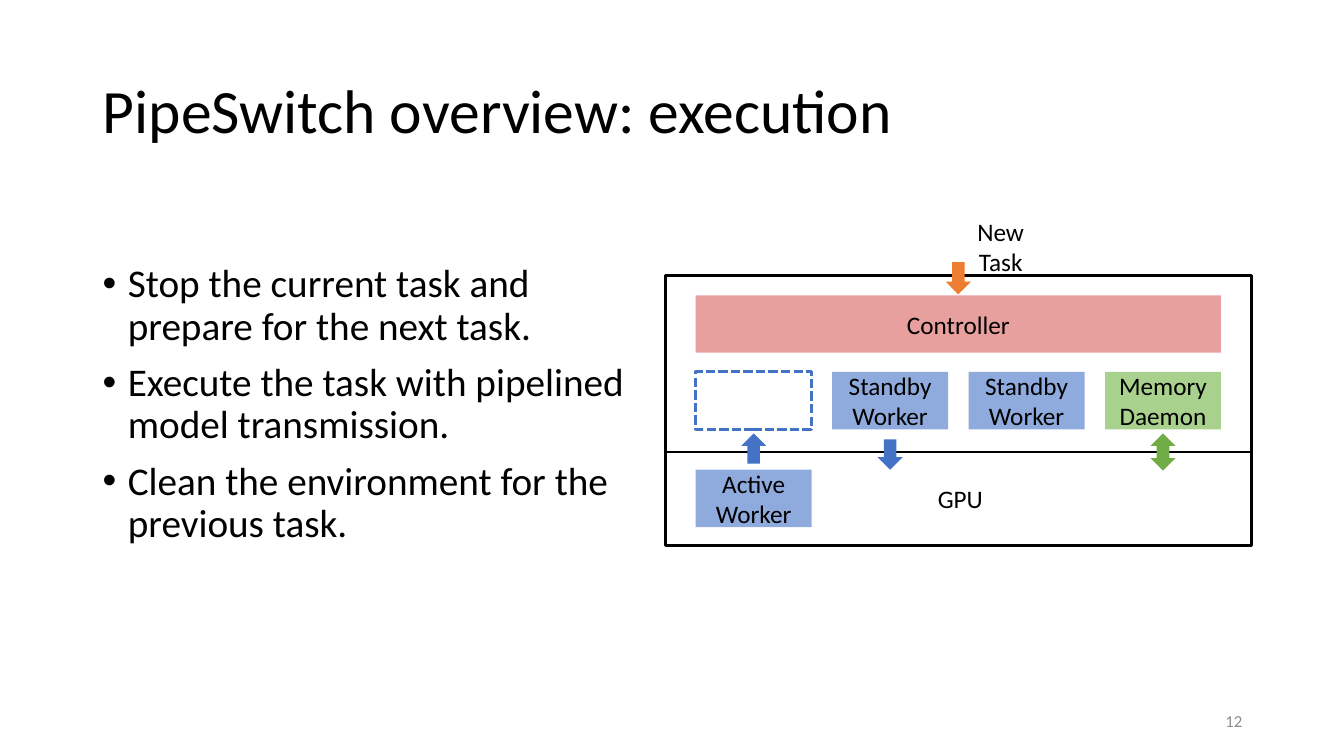
from lxml import etree
from pptx import Presentation
from pptx.dml.color import RGBColor
from pptx.enum.dml import MSO_LINE
from pptx.enum.shapes import MSO_CONNECTOR, MSO_SHAPE
from pptx.enum.text import MSO_ANCHOR, MSO_AUTO_SIZE, PP_ALIGN
from pptx.oxml.ns import qn
from pptx.util import Inches, Pt

RECTANGLE = MSO_SHAPE.RECTANGLE
UP, DOWN, UP_DOWN = MSO_SHAPE.UP_ARROW, MSO_SHAPE.DOWN_ARROW, MSO_SHAPE.UP_DOWN_ARROW
STRAIGHT = MSO_CONNECTOR.STRAIGHT
LEFT, CENTER, RIGHT = PP_ALIGN.LEFT, PP_ALIGN.CENTER, PP_ALIGN.RIGHT
TOP, MIDDLE = MSO_ANCHOR.TOP, MSO_ANCHOR.MIDDLE

FONT = "Calibri"
COLORS = {
    "text": "000000", "number": "8C8C8C", "controller": "E8A09F",
    "worker": "8FAADC", "worker_arrow": "4472C4", "task_arrow": "ED7D31",
    "memory": "A9D18E", "memory_arrow": "70AD47",
}

# Diagram grid, in inches
FRAME_LEFT, FRAME_TOP, FRAME_WIDTH, FRAME_HEIGHT = 6.6, 2.73, 5.81, 2.68
GRID_LEFT, GRID_WIDTH, COLUMNS = 6.9, 5.21, 4
BOX_WIDTH, BOX_HEIGHT, ARROW_WIDTH = 1.15, 0.57, 0.25
PITCH = (GRID_WIDTH - BOX_WIDTH) / (COLUMNS - 1)
ROWS = {"controller": 2.93, "workers": 3.69, "divider": 4.48, "gpu": 4.66}
GRID_CENTER = GRID_LEFT + GRID_WIDTH / 2


def color(name):
    return RGBColor.from_string(COLORS[name])


def column_left(column):
    return GRID_LEFT + column * PITCH


def column_center(column):
    return column_left(column) + BOX_WIDTH / 2


def write(shape, text, size=18, align=CENTER, anchor=MIDDLE, name="text", wrap=True):
    frame = shape.text_frame
    frame.text = text
    frame.word_wrap = wrap
    frame.auto_size = MSO_AUTO_SIZE.NONE
    frame.vertical_anchor = anchor
    for paragraph in frame.paragraphs:
        paragraph.alignment = align
        for run in paragraph.runs:
            run.font.size = Pt(size)
            run.font.name = FONT
            run.font.color.rgb = color(name)


def add_label(slide, text, left, top, width, height, **style):
    box = slide.shapes.add_textbox(*map(Inches, (left, top, width, height)))
    write(box, text, **style)
    return box


def add_block(slide, left, top, width, height, fill=None, line=None,
              text="", kind=RECTANGLE):
    shape = slide.shapes.add_shape(kind, *map(Inches, (left, top, width, height)))
    shape.shadow.inherit = False
    if fill:
        shape.fill.solid()
        shape.fill.fore_color.rgb = color(fill)
    else:
        shape.fill.background()
    if line:
        shape.line.color.rgb = color(line)
        shape.line.width = Pt(2.25)
    else:
        shape.line.fill.background()
    if text:
        write(shape, text)
    return shape


def add_arrow(slide, kind, center, top, height, fill):
    add_block(slide, center - ARROW_WIDTH / 2, top, ARROW_WIDTH, height, fill, kind=kind)


def add_divider(slide, left, right, y):
    divider = slide.shapes.add_connector(STRAIGHT, *map(Inches, (left, y, right, y)))
    divider.line.color.rgb = color("text")
    divider.line.width = Pt(1.5)
    etree.SubElement(divider._element.spPr, qn("a:effectLst"))


def add_title(slide, text):
    title = slide.shapes.title
    title.left, title.top, title.width, title.height = map(Inches, (0.92, 0.4, 11.5, 1.45))
    write(title, text, size=44, align=LEFT)
    title.text_frame.paragraphs[0].line_spacing = 0.9


def add_bullets(slide, items):
    box = add_label(slide, "\n".join(items), 0.92, 2.57, 5.67, 4.19,
                    size=28, align=LEFT, anchor=TOP)
    for index, paragraph in enumerate(box.text_frame.paragraphs):
        properties = paragraph._p.get_or_add_pPr()
        properties.set("marL", str(Inches(0.25)))
        properties.set("indent", str(-Inches(0.25)))
        etree.SubElement(properties, qn("a:buFont")).set("typeface", "Arial")
        etree.SubElement(properties, qn("a:buChar")).set("char", "•")
        paragraph.line_spacing = 0.9
        paragraph.space_before = Pt(10 if index else 0)


def add_diagram(slide):
    # Server frame, controller and GPU area
    add_block(slide, FRAME_LEFT, FRAME_TOP, FRAME_WIDTH, FRAME_HEIGHT, line="text")
    add_block(slide, GRID_LEFT, ROWS["controller"], GRID_WIDTH, BOX_HEIGHT,
              "controller", text="Controller")
    add_divider(slide, FRAME_LEFT, FRAME_LEFT + FRAME_WIDTH, ROWS["divider"])
    add_label(slide, "GPU", 9.2, 4.74, 0.65, 0.4, wrap=False)

    # Workers and memory daemon
    for column, row, fill, text in (
        (0, "gpu", "worker", "Active\nWorker"),
        (1, "workers", "worker", "Standby\nWorker"),
        (2, "workers", "worker", "Standby\nWorker"),
        (3, "workers", "memory", "Memory\nDaemon"),
    ):
        add_block(slide, column_left(column), ROWS[row], BOX_WIDTH, BOX_HEIGHT, fill, text=text)
    vacant = add_block(slide, column_left(0), ROWS["workers"], BOX_WIDTH, BOX_HEIGHT,
                       line="worker_arrow")
    vacant.line.dash_style = MSO_LINE.SQUARE_DOT

    # Movement between the rows
    add_arrow(slide, UP, column_center(0), 4.3, 0.3, "worker_arrow")
    add_arrow(slide, DOWN, column_center(1), 4.36, 0.3, "worker_arrow")
    add_arrow(slide, UP_DOWN, column_center(3), 4.3, 0.37, "memory_arrow")
    add_arrow(slide, DOWN, GRID_CENTER, 2.6, 0.32, "task_arrow")
    add_label(slide, "New\nTask", 9.59, 2.09, 0.67, 0.71, wrap=False)


def main():
    presentation = Presentation()
    presentation.slide_width, presentation.slide_height = Inches(13.33), Inches(7.5)
    slide = presentation.slides.add_slide(presentation.slide_layouts.get_by_name("Title Only"))
    add_title(slide, "PipeSwitch overview: execution")
    add_bullets(slide, (
        "Stop the current task and prepare for the next task.",
        "Execute the task with pipelined model transmission.",
        "Clean the environment for the previous task.",
    ))
    add_diagram(slide)
    add_label(slide, "12", 9.42, 6.95, 3, 0.4, size=12, align=RIGHT, name="number")
    presentation.save("out.pptx")


if __name__ == "__main__":
    main()
